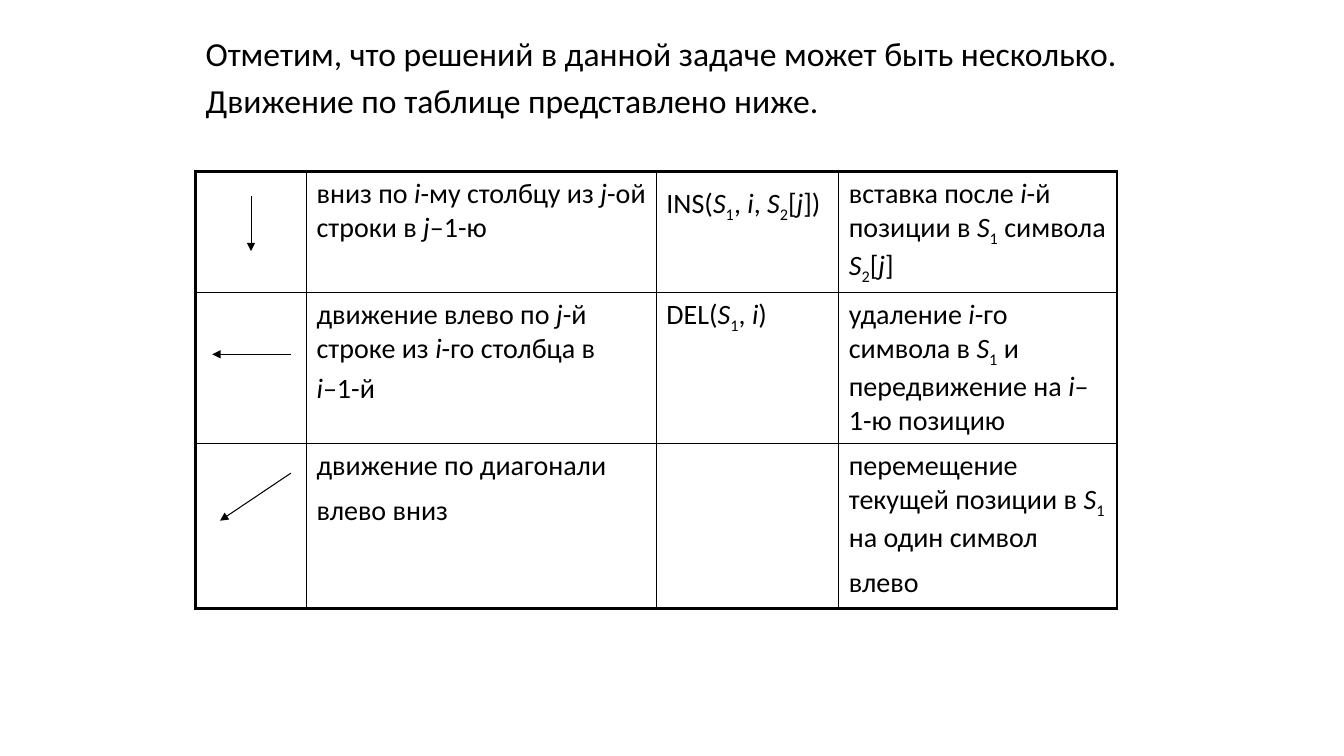
from itertools import accumulate

from lxml.etree import SubElement
from pptx import Presentation
from pptx.dml.color import RGBColor
from pptx.enum.shapes import MSO_CONNECTOR
from pptx.enum.text import MSO_ANCHOR, MSO_AUTO_SIZE
from pptx.oxml import parse_xml
from pptx.oxml.ns import nsdecls, qn
from pptx.util import Inches, Pt

FONT = "Calibri"
BLACK = "000000"
THIN, THICK = 1, 2.25
LEFT, TOP = 1.94, 1.7
COLUMNS = [1.1, 3.47, 1.81, 2.76]
ROWS = [1.2, 1.5, 1.63]
SPACE_SHARE = 0.2

INTRO = [
    "Отметим, что решений в данной задаче может быть несколько.",
    "Движение по таблице представлено ниже.",
]

# *italic*, _subscript_; a cell is its paragraphs and the size of its closing space
MOVES = [
    [
        (["вниз по *i*-му столбцу из *j*-ой строки в *j*–1-ю"], None),
        (["INS(*S*_1_, *i*, *S*_2_[*j*])"], 28),
        (["вставка после *i*-й позиции в *S*_1_ символа *S*_2_[*j*]"], None),
    ],
    [
        (["движение влево по *j*-й строке из *i*-го столбца в", "*i*–1-й"], None),
        (["DEL(*S*_1_, *i*)"], None),
        (["удаление *i*-го символа в *S*_1_ и передвижение на *i*–1-ю позицию"], None),
    ],
    [
        (["движение по диагонали влево вниз"], 28),
        ([], None),
        (["перемещение текущей позиции в *S*_1_ на один символ влево"], 28),
    ],
]

# Start and end of each row's arrow, as shares of its cell
ARROWS = [
    ((0.5, 0.2), (0.5, 0.66)),
    ((0.86, 0.41), (0.15, 0.41)),
    ((0.86, 0.18), (0.22, 0.47)),
]


def color(hex_code):
    return RGBColor.from_string(hex_code)


def add_run(paragraph, text, size, italic=False, subscript=False):
    run = paragraph.add_run()
    run.text = text
    font = run.font
    font.name, font.size, font.italic = FONT, Pt(size), italic
    font.color.rgb = color(BLACK)
    if subscript:
        run._r.get_or_add_rPr().set("baseline", "-25000")


def write(frame, paragraphs, size=20, closing_size=None, hanging=None):
    """Fill a text frame, reading *italic* and _subscript_ marks."""
    frame.word_wrap = True
    for number, text in enumerate(paragraphs):
        paragraph = frame.add_paragraph() if number else frame.paragraphs[0]
        paragraph.space_before = Pt(size * SPACE_SHARE if number else 0)
        if hanging:
            properties = paragraph._p.get_or_add_pPr()
            properties.set("marL", str(Inches(hanging)))
            properties.set("indent", str(-Inches(hanging)))
            SubElement(properties, qn("a:buNone"))
        for level, part in enumerate(text.split("_")):
            for order, piece in enumerate(part.split("*")):
                if piece:
                    add_run(paragraph, piece, size, order % 2 == 1, level % 2 == 1)
        if closing_size:
            add_run(paragraph, " ", closing_size)


def set_borders(cell, widths):
    """Draw the left, right, top and bottom borders, in points."""
    cell.fill.background()
    properties = cell._tc.get_or_add_tcPr()
    for place, (side, width) in enumerate(zip("LRTB", widths)):
        border = parse_xml(
            f'<a:ln{side} {nsdecls("a")} w="{Pt(width)}"><a:solidFill>'
            f'<a:srgbClr val="{BLACK}"/></a:solidFill></a:ln{side}>'
        )
        properties.insert(place, border)


def add_intro(slide):
    slide.shapes.title.element.getparent().remove(slide.shapes.title.element)
    intro = slide.placeholders[1]
    intro.left, intro.top = Inches(LEFT), Inches(0.28)
    intro.width, intro.height = Inches(9.29), Inches(1.02)
    frame = intro.text_frame
    frame.auto_size = MSO_AUTO_SIZE.NONE
    frame.vertical_anchor = MSO_ANCHOR.TOP
    write(frame, INTRO, size=24, hanging=0.38)


def add_moves_table(slide):
    size = Inches(sum(COLUMNS)), Inches(sum(ROWS))
    table = slide.shapes.add_table(
        len(ROWS), len(COLUMNS), Inches(LEFT), Inches(TOP), *size
    ).table
    table.first_row = table.horz_banding = False
    for column, width in zip(table.columns, COLUMNS):
        column.width = Inches(width)
    for row, height in zip(table.rows, ROWS):
        row.height = Inches(height)
    last_row, last_column = len(ROWS) - 1, len(COLUMNS) - 1
    for r, move in enumerate(MOVES):
        for c in range(len(COLUMNS)):
            on_edge = (c == 0, c == last_column, r == 0, r == last_row)
            set_borders(table.cell(r, c), [THICK if edge else THIN for edge in on_edge])
        for c, (paragraphs, closing_size) in enumerate(move, start=1):
            write(table.cell(r, c).text_frame, paragraphs, closing_size=closing_size)


def add_arrow(slide, start, end):
    points = [Inches(value) for value in (*start, *end)]
    arrow = slide.shapes.add_connector(MSO_CONNECTOR.STRAIGHT, *points)
    arrow.line.color.rgb = color(BLACK)
    arrow.line.width = Pt(0.75)
    SubElement(arrow.line._get_or_add_ln(), qn("a:tailEnd"), type="triangle")
    SubElement(arrow._element.spPr, qn("a:effectLst"))


def main():
    deck = Presentation()
    deck.slide_width, deck.slide_height = Inches(13.33), Inches(7.5)
    slide = deck.slides.add_slide(deck.slide_layouts.get_by_name("Title and Content"))
    add_intro(slide)
    add_moves_table(slide)
    row_tops = accumulate(ROWS[:-1], initial=TOP)
    for row_top, height, ends in zip(row_tops, ROWS, ARROWS):
        start, end = [(LEFT + x * COLUMNS[0], row_top + y * height) for x, y in ends]
        add_arrow(slide, start, end)
    deck.save("out.pptx")


if __name__ == "__main__":
    main()
